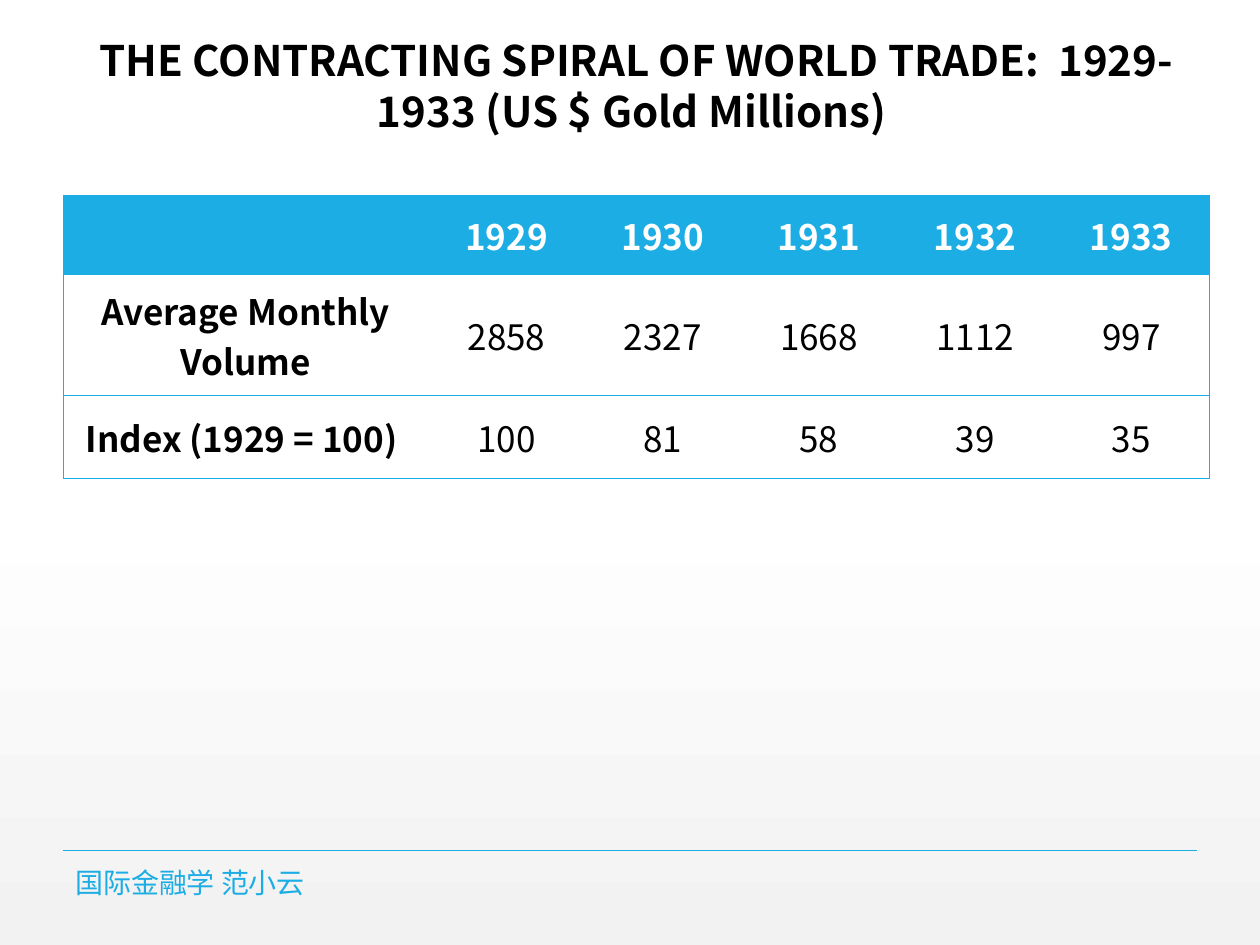
from lxml import etree
from pptx import Presentation
from pptx.dml.color import RGBColor
from pptx.enum.shapes import MSO_CONNECTOR
from pptx.enum.text import MSO_ANCHOR, PP_ALIGN
from pptx.oxml.ns import qn
from pptx.util import Inches, Pt

LINE = MSO_CONNECTOR.STRAIGHT
MID = MSO_ANCHOR.MIDDLE
LEFT, MIDDLE = PP_ALIGN.LEFT, PP_ALIGN.CENTER
FONT = "Noto Sans CJK SC"
PLAIN = "{2D5ABB26-0587-4C30-8999-92F81FD0307C}"  # no style, no grid
HEX = {"blue": "1CADE4", "black": "000000", "white": "FFFFFF", "gray": "F2F2F2"}
RGB = {name: RGBColor.from_string(code) for name, code in HEX.items()}


def write(frame, text, size, color, bold=False, align=MIDDLE):
    para = frame.paragraphs[0]
    para.alignment = align
    run = para.add_run()
    run.text = text
    for key, val in {"name": FONT, "size": Pt(size), "bold": bold}.items():
        setattr(run.font, key, val)
    run.font.color.rgb = RGB[color]
    etree.SubElement(run.font._element, qn("a:ea"), typeface=FONT)


def border(cell, sides):
    """Draw thin blue lines on the given sides, a string of L, R, T, B in that order."""
    props = cell._tc.get_or_add_tcPr()
    for spot, side in enumerate(sides):
        line = etree.Element(qn("a:ln" + side), w=str(Pt(0.5)))
        fill = etree.SubElement(line, qn("a:solidFill"))
        etree.SubElement(fill, qn("a:srgbClr"), val=HEX["blue"])
        props.insert(spot, line)


deck = Presentation()
deck.slide_width, deck.slide_height = Inches(10), Inches(7.5)
slide = deck.slides.add_slide(deck.slide_layouts[6])

# Background: white, turning gray in the lower half
back = slide.background.fill
back.gradient()
back.gradient_angle = 270
for stop, (place, color) in zip(back.gradient_stops, [(0.53, "white"), (1, "gray")]):
    stop.position = place
    stop.color.rgb = RGB[color]

# Footer rule
rule = slide.shapes.add_connector(LINE, Inches(0.5), Inches(6.75), Inches(9.5), Inches(6.75))
rule.line.color.rgb = RGB["blue"]
rule.line.width = Pt(1)
etree.SubElement(rule._element.spPr, qn("a:effectLst"))

# Footer and title
texts = [
    ((0.5, 6.88, 5.03, 0.24), "国际金融学 范小云", 16, "blue", False, LEFT),
    ((0.5, 0.22, 9.1, 0.91),
     "THE CONTRACTING SPIRAL OF WORLD TRADE:  1929-1933 (US $ Gold Millions) ",
     24, "black", True, MIDDLE),
]
for place, *style in texts:
    frame = slide.shapes.add_textbox(*map(Inches, place)).text_frame
    frame.word_wrap = True
    frame.vertical_anchor = MID
    write(frame, *style)

# Trade table
data = [
    ["", "1929", "1930", "1931", "1932", "1933"],
    ["Average Monthly Volume", "2858", "2327", "1668", "1112", "997"],
    ["Index (1929 = 100) ", "100", "81", "58", "39", "35"],
]
wide = [2.9] + [1.24] * 5
high = [0.63, 0.96, 0.66]
shape = slide.shapes.add_table(
    len(high), len(wide), Inches(0.5), Inches(1.55), Inches(sum(wide)), Inches(sum(high)))
table = shape.table
table.horz_banding = False
table._tbl.tblPr.find(qn("a:tableStyleId")).text = PLAIN
for col, width in zip(table.columns, wide):
    col.width = Inches(width)
for row, height in zip(table.rows, high):
    row.height = Inches(height)

form = {"vertical_anchor": MID, "margin_left": Inches(0.07), "margin_right": Inches(0.07),
        "margin_top": 0, "margin_bottom": 0}
for r, row in enumerate(data):
    for c, text in enumerate(row):
        cell = table.cell(r, c)
        for key, val in form.items():
            setattr(cell, key, val)
        head = r == 0
        if head:
            cell.fill.solid()
            cell.fill.fore_color.rgb = RGB["blue"]
        else:
            cell.fill.background()
        if text:
            write(cell.text_frame, text, 20, "white" if head else "black", head or c == 0)
        sides = "L" if c == 0 else "R" if c == len(wide) - 1 else ""
        border(cell, sides + ("T" if head else "TB"))

deck.save("out.pptx")
